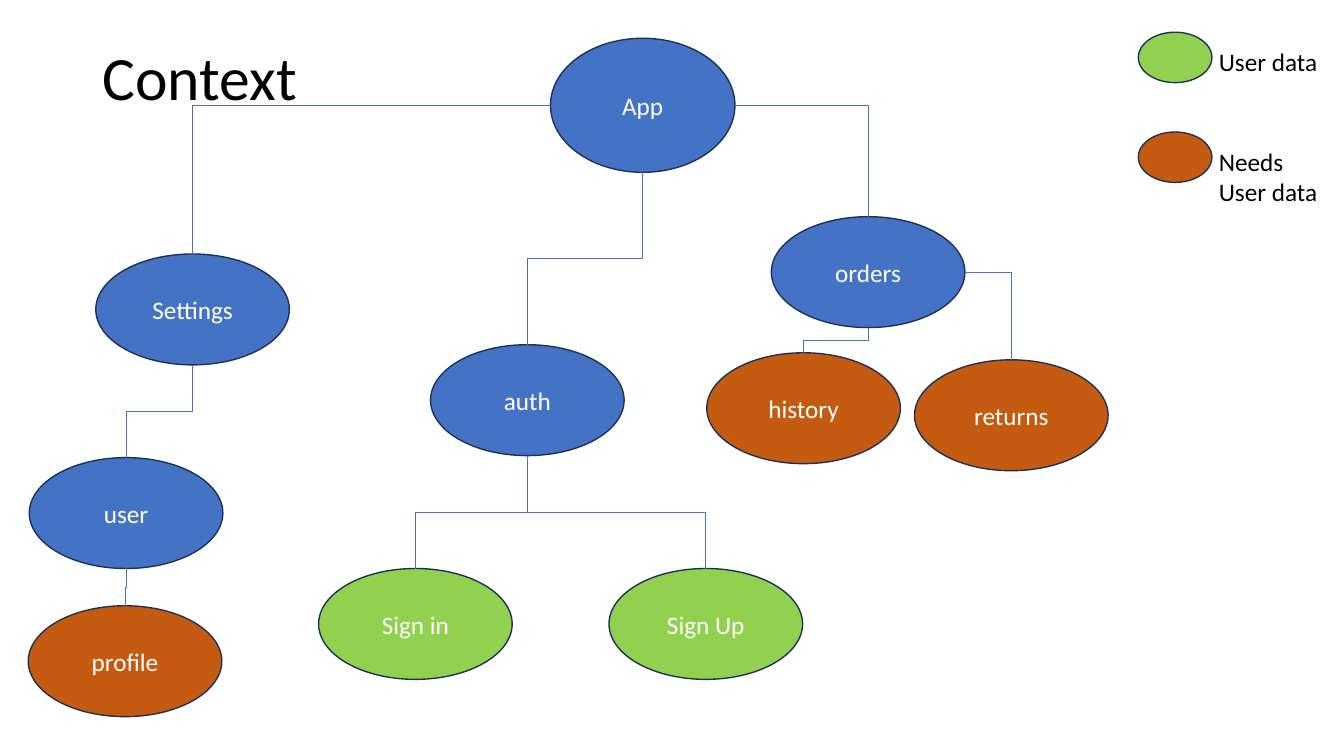
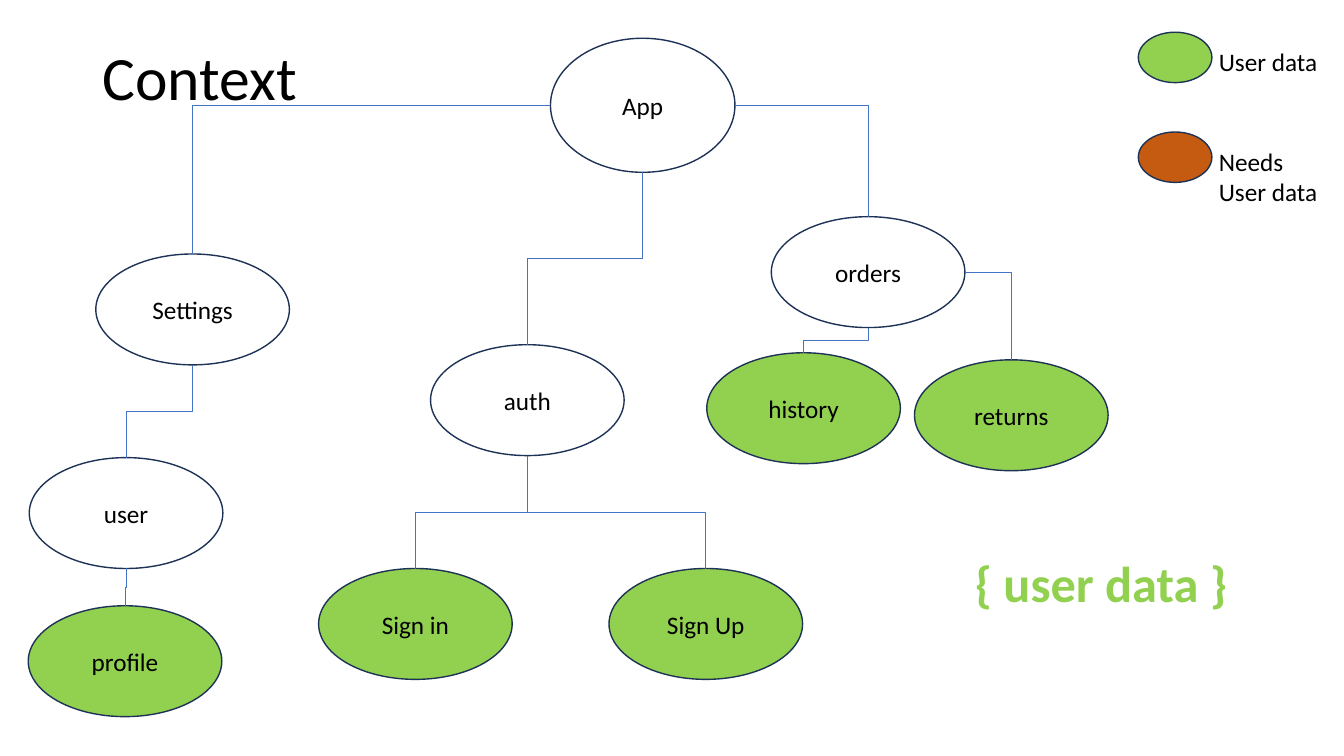
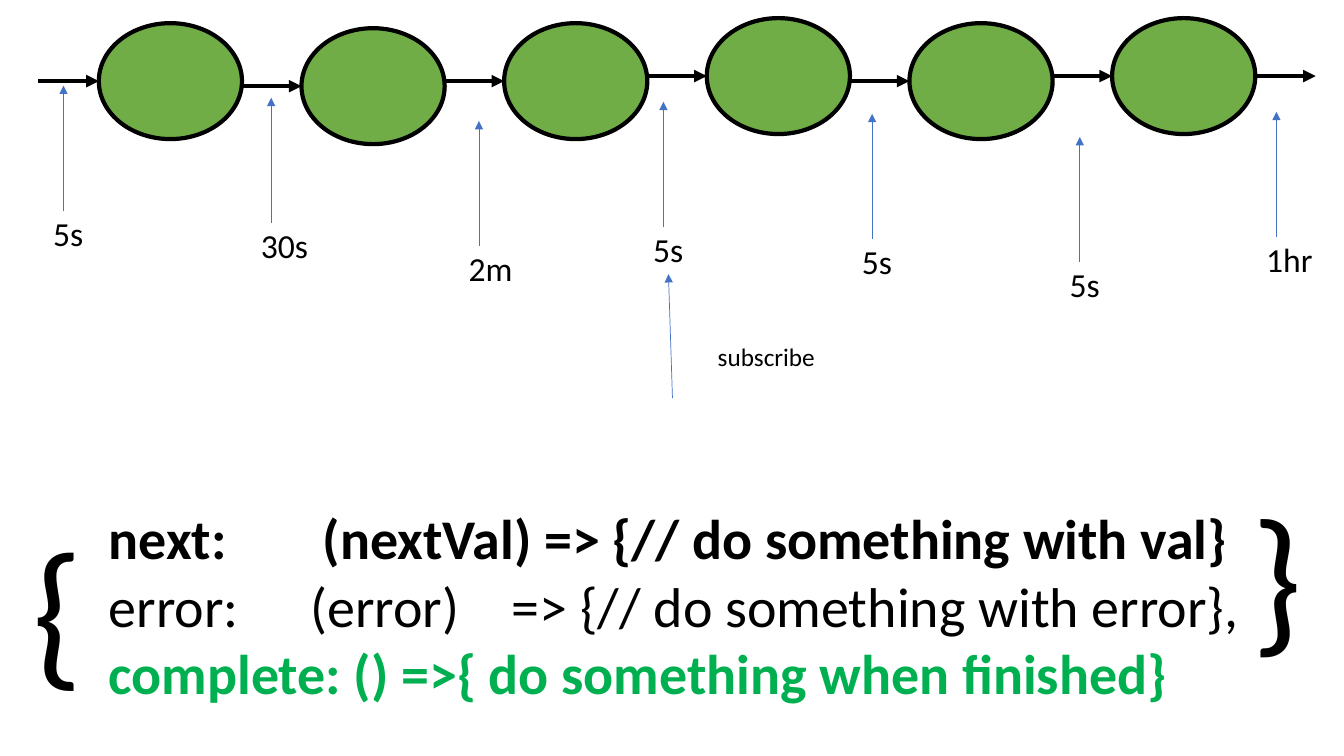
"""Build three slides about shared context and timed event streams."""
from lxml import etree
from pptx import Presentation
from pptx.dml.color import RGBColor
from pptx.enum.shapes import MSO_CONNECTOR, MSO_SHAPE
from pptx.enum.text import MSO_ANCHOR, MSO_AUTO_SIZE, PP_ALIGN
from pptx.oxml.ns import qn
from pptx.util import Inches, Pt

ELLIPSE = MSO_SHAPE.OVAL
CIRCLE = MSO_SHAPE.FLOWCHART_CONNECTOR
STRAIGHT = MSO_CONNECTOR.STRAIGHT
ELBOW = MSO_CONNECTOR.ELBOW
MIDDLE = MSO_ANCHOR.MIDDLE
CENTER = PP_ALIGN.CENTER
GROW = MSO_AUTO_SIZE.SHAPE_TO_FIT_TEXT

FONT = "Calibri"
BLACK, WHITE = "000000", "FFFFFF"
BLUE, NAVY = "4472C4", "1E3256"
ORANGE, LIME = "C55A11", "92D050"
BEAD_GREEN, TEXT_GREEN = "70AD47", "00B050"

NODE_WIDTH, NODE_HEIGHT = 1.92, 1.1
NODES = {
    "App": (5.46, 0.38, 1.83, 1.33),
    "orders": (7.65, 2.15, NODE_WIDTH, NODE_HEIGHT),
    "auth": (4.27, 3.42, NODE_WIDTH, NODE_HEIGHT),
    "Settings": (0.95, 2.52, NODE_WIDTH, NODE_HEIGHT),
    "user": (0.29, 4.54, NODE_WIDTH, NODE_HEIGHT),
    "profile": (0.28, 6.01, NODE_WIDTH, NODE_HEIGHT),
    "Sign in": (3.16, 5.64, NODE_WIDTH, NODE_HEIGHT),
    "Sign Up": (6.04, 5.64, NODE_WIDTH, NODE_HEIGHT),
    "history": (7.01, 3.5, NODE_WIDTH, NODE_HEIGHT),
    "returns": (9.07, 3.57, NODE_WIDTH, NODE_HEIGHT),
}
PROVIDERS = ("Sign in", "Sign Up")
CONSUMERS = ("profile", "history", "returns")
DROPS = (("App", "auth"), ("Settings", "user"), ("user", "profile"),
         ("auth", "Sign in"), ("auth", "Sign Up"), ("orders", "history"))
BRANCHES = (("App", "Settings"), ("App", "orders"), ("orders", "returns"))
LEGEND = ((0.32, LIME, "User data", 0.4), (1.31, ORANGE, "Needs \nUser data", 0.71))

BEAD_LEFT, BEAD_PITCH, BEAD_WIDTH, BEAD_HEIGHT = 0.98, 2.01, 1.42, 1.15
BEAD_TOPS = (0.23, 0.28, 0.23, 0.18, 0.23, 0.18)
BEAD_ARROW = 0.6
TIMINGS = (("5s", 0.63, 2.09, 0.5), ("30s", 2.69, 2.21, 0.67), ("2m", 4.75, 2.44, 0.64),
           ("5s", 6.58, 2.25, 0.5), ("5s", 8.65, 2.37, 0.5), ("5s", 10.71, 2.6, 0.5),
           ("1hr", 12.66, 2.35, 0.67))
TIMING_ARROW = 1.24
OBSERVER = ("next:\t (nextVal) => {// do something with val}\n"
            "error: \t(error)\t=> {// do something with error},\n"
            "complete: () =>{ do something when finished}")


def color(value):
    """Turn a hex string into a colour."""
    return RGBColor.from_string(value)


def style_paragraph(paragraph, size, font_color=BLACK, bold=False):
    """Format every run of a paragraph."""
    for run in paragraph.runs:
        run.font.name = FONT
        run.font.size = Pt(size)
        run.font.bold = bold
        run.font.color.rgb = color(font_color)


def add_text(shapes, text, box, size, font_color=BLACK, bold=False):
    """Add an unwrapped text box with tab stops at every inch."""
    text_box = shapes.add_textbox(*map(Inches, box))
    frame = text_box.text_frame
    frame.text = text
    frame.word_wrap = False
    frame.auto_size = GROW
    for paragraph in frame.paragraphs:
        style_paragraph(paragraph, size, font_color, bold)
        paragraph._p.get_or_add_pPr().set("defTabSz", str(Inches(1)))
    return text_box


def add_title(shapes, text):
    """Add the slide title."""
    title = shapes.add_textbox(*map(Inches, (0.92, 0.4, 11.1, 0.79)))
    frame = title.text_frame
    frame.text = text
    frame.word_wrap = True
    frame.vertical_anchor = MIDDLE
    frame.paragraphs[0].line_spacing = 0.9
    style_paragraph(frame.paragraphs[0], 44)


def add_oval(shapes, kind, box, fill, line=NAVY, line_width=1, text="", font_color=WHITE):
    """Add an outlined oval, hollow when no fill is given."""
    oval = shapes.add_shape(kind, *map(Inches, box))
    oval.shadow.inherit = False
    if fill:
        oval.fill.solid()
        oval.fill.fore_color.rgb = color(fill)
    else:
        oval.fill.background()
    oval.line.color.rgb = color(line)
    oval.line.width = Pt(line_width)
    if text:
        frame = oval.text_frame
        frame.text = text
        frame.vertical_anchor = MIDDLE
        frame.paragraphs[0].alignment = CENTER
        style_paragraph(frame.paragraphs[0], 18, font_color)


def add_line(shapes, kind, start, end, line=BLUE, width=0.5):
    """Add a connector without a shadow."""
    connector = shapes.add_connector(kind, *map(Inches, (*start, *end)))
    connector.line.color.rgb = color(line)
    connector.line.width = Pt(width)
    etree.SubElement(connector._element.spPr, qn("a:effectLst"))
    return connector


def add_arrow(shapes, start, end, line=BLUE, width=0.5):
    """Add a straight arrow."""
    arrow = add_line(shapes, STRAIGHT, start, end, line, width)
    outline = arrow._element.spPr.find(qn("a:ln"))
    etree.SubElement(outline, qn("a:tailEnd"), type="triangle")


def add_drop(shapes, parent, child):
    """Link the bottom of a parent to the top of a child by a quarter-turned elbow."""
    left, top, width, height = NODES[parent]
    child_left, child_top, child_width, _ = NODES[child]
    start_x, start_y = left + width / 2, top + height
    end_x = child_left + child_width / 2
    center_x, center_y = (start_x + end_x) / 2, (start_y + child_top) / 2
    half_drop, half_shift = (child_top - start_y) / 2, (start_x - end_x) / 2
    elbow = add_line(shapes, ELBOW, (center_x - half_drop, center_y - half_shift),
                     (center_x + half_drop, center_y + half_shift))
    elbow._element.spPr.find(qn("a:xfrm")).set("rot", "5400000")


def add_branch(shapes, parent, child):
    """Link the side of a parent to the top of a child by a single bend."""
    left, top, width, height = NODES[parent]
    child_left, child_top, child_width, _ = NODES[child]
    end_x = child_left + child_width / 2
    start_x = left if end_x < left else left + width
    elbow = add_line(shapes, ELBOW, (start_x, top + height / 2), (end_x, child_top))
    elbow._element.spPr.find(qn("a:prstGeom")).set("prst", "bentConnector2")


def add_legend(shapes):
    """Add the colour key at the top right."""
    for top, fill, label, height in LEGEND:
        add_oval(shapes, CIRCLE, (11.29, top, 0.73, 0.5), fill)
        add_text(shapes, label, (11.99, top + 0.09, 1.19, height), 18)


def add_tree_slide(presentation, base_fill, consumer_fill, font_color):
    """Add the component tree and return its shapes."""
    shapes = add_slide(presentation)
    add_title(shapes, "Context")
    fills = dict.fromkeys(PROVIDERS, LIME) | dict.fromkeys(CONSUMERS, consumer_fill)
    for name, box in NODES.items():
        kind = CIRCLE if name == "App" else ELLIPSE
        add_oval(shapes, kind, box, fills.get(name, base_fill), text=name, font_color=font_color)
    for parent, child in DROPS:
        add_drop(shapes, parent, child)
    for parent, child in BRANCHES:
        add_branch(shapes, parent, child)
    add_legend(shapes)
    return shapes


def add_beads(shapes):
    """Add the chain of events joined by arrows."""
    for index, top in enumerate(BEAD_TOPS):
        left = BEAD_LEFT + index * BEAD_PITCH
        middle = top + BEAD_HEIGHT / 2
        add_arrow(shapes, (left - BEAD_ARROW, middle), (left, middle), BLACK, 3)
        add_oval(shapes, ELLIPSE, (left, top, BEAD_WIDTH, BEAD_HEIGHT), BEAD_GREEN, BLACK, 3)
    right = left + BEAD_WIDTH
    add_arrow(shapes, (right, middle), (right + BEAD_ARROW, middle), BLACK, 3)


def add_timing(shapes, label, x, bottom, width):
    """Add a grouped delay label with its upward arrow."""
    timing = shapes.add_group_shape().shapes
    add_arrow(timing, (x, bottom), (x, bottom - TIMING_ARROW))
    add_text(timing, label, (x - 0.2, bottom - 0.03, width, 0.5), 24)


def add_stream_slide(presentation):
    """Add the event stream and its observer."""
    shapes = add_slide(presentation)
    add_beads(shapes)
    for timing in TIMINGS:
        add_timing(shapes, *timing)
    add_arrow(shapes, (6.67, 3.95), (6.63, 2.72))
    add_text(shapes, "subscribe", (7.02, 3.34, 1.18, 0.4), 18)
    observer = add_text(shapes, OBSERVER, (0.98, 4.95, 11.53, 2.12), 40, bold=True)
    _, error, complete = observer.text_frame.paragraphs
    style_paragraph(error, 40)
    style_paragraph(complete, 40, TEXT_GREEN, True)
    add_text(shapes, "{", (0.22, 5, 0.71, 2.04), 115)
    closing_brace = add_text(shapes, "{", (12.31, 4.98, 0.71, 2.04), 115)
    closing_brace.rotation = 180


def add_slide(presentation):
    """Add a blank slide and return its shapes."""
    return presentation.slides.add_slide(presentation.slide_layouts[6]).shapes


def main():
    """Build and save the presentation."""
    presentation = Presentation()
    presentation.slide_width = Inches(13.33)
    presentation.slide_height = Inches(7.5)
    add_tree_slide(presentation, BLUE, ORANGE, WHITE)
    shared_tree = add_tree_slide(presentation, None, LIME, BLACK)
    add_text(shared_tree, "{ user data }", (9.57, 5.43, 2.73, 0.71), 36, LIME, True)
    add_stream_slide(presentation)
    presentation.save("out.pptx")


main()
